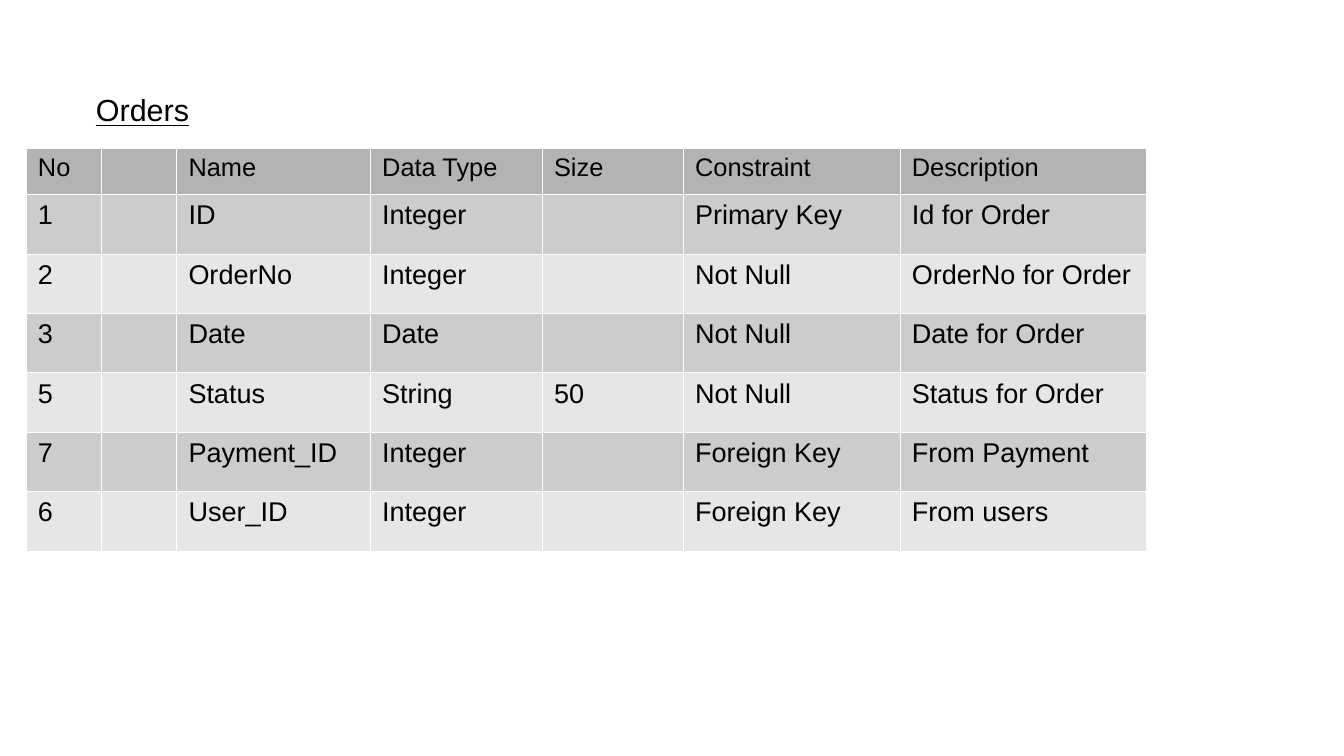
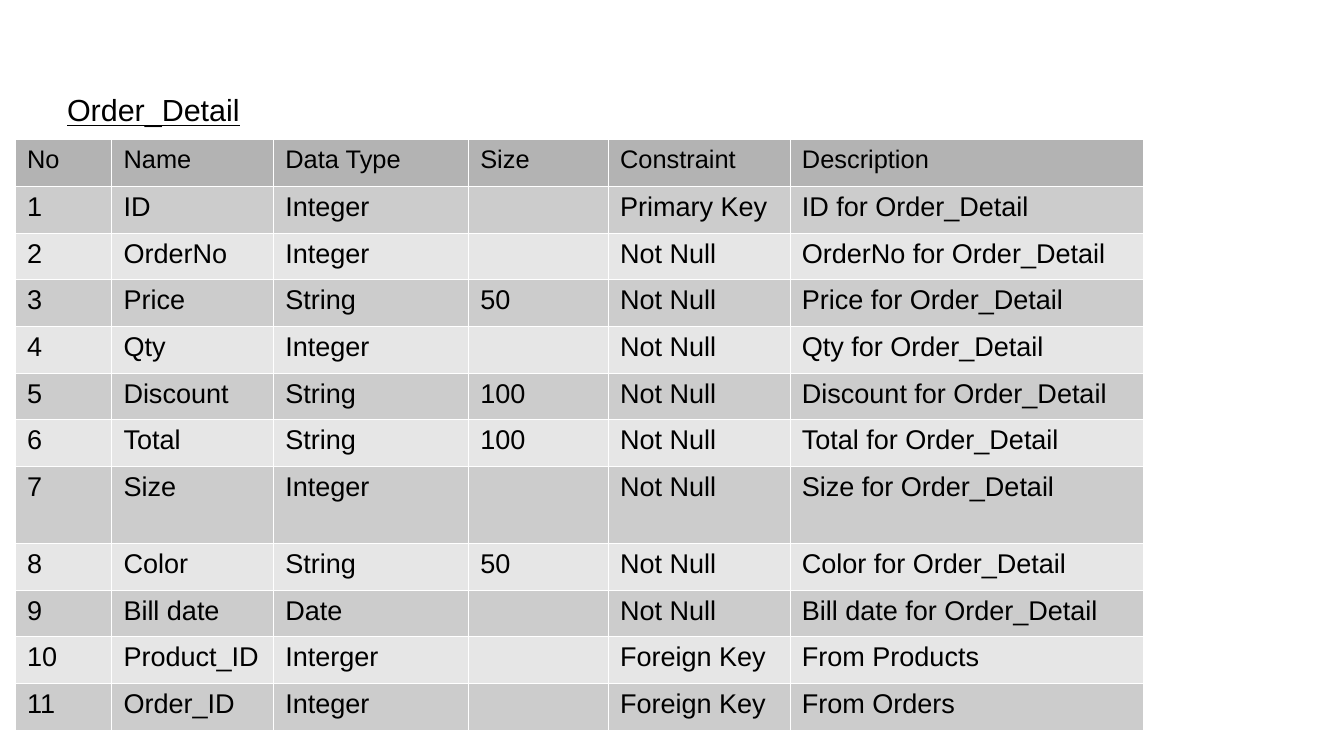
import dataclasses

import lxml.etree
import pptx
import pptx.dml.color
import pptx.enum.text
import pptx.oxml.ns
import pptx.util

Pt = pptx.util.Pt
RGB = pptx.dml.color.RGBColor.from_string


@dataclasses.dataclass(frozen=True)
class Theme:
    """Colours, type sizes and measures (in points) shared by the slides."""
    font: str = "Arial"
    ink: str = "000000"
    border: str = "FFFFFF"
    header: str = "B3B3B3"
    bands: tuple = ("CCCCCC", "E6E6E6")
    title_size: float = 18
    header_size: float = 15
    body_size: float = 16
    border_width: float = 0.06
    header_height: float = 27.6
    title_top: float = 27.4
    title_height: float = 74.9


THEME = Theme()
SLIDE_SIZE = (793.7, 446.5)

# Table contents
ORDERS = [
    ("No", "", "Name", "Data Type", "Size", "Constraint", "Description"),
    ("1", "", "ID", "Integer", "", "Primary Key", "Id for Order"),
    ("2", "", "OrderNo", "Integer", "", "Not Null", "OrderNo for Order"),
    ("3", "", "Date", "Date", "", "Not Null", "Date for Order"),
    ("5", "", "Status", "String", "50", "Not Null", "Status for Order"),
    ("7", "", "Payment_ID", "Integer", "", "Foreign Key", "From Payment"),
    ("6", "", "User_ID", "Integer", "", "Foreign Key", "From users"),
]
ORDER_DETAIL = [
    ("No", "Name", "Data Type", "Size", "Constraint", "Description"),
    ("1", "ID", "Integer", "", "Primary Key", "ID for Order_Detail"),
    ("2", "OrderNo", "Integer", "", "Not Null", "OrderNo for Order_Detail"),
    ("3", "Price", "String", "50", "Not Null", "Price for Order_Detail"),
    ("4", "Qty", "Integer", "", "Not Null", "Qty for Order_Detail"),
    ("5", "Discount", "String", "100", "Not Null", "Discount for Order_Detail"),
    ("6", "Total", "String", "100", "Not Null", "Total for Order_Detail"),
    ("7", "Size", "Integer", "", "Not Null", "Size for Order_Detail"),
    ("8", "Color", "String", "50", "Not Null", "Color for Order_Detail"),
    ("9", "Bill date", "Date", "", "Not Null", "Bill date for Order_Detail"),
    ("10", "Product_ID", "Interger", "", "Foreign Key", "From Products"),
    ("11", "Order_ID", "Integer", "", "Foreign Key", "From Orders"),
]


def set_attributes(obj, values):
    for name, value in values.items():
        setattr(obj, name, value)


def write_text(p, text, size, underline=False):
    """Put one formatted run in a paragraph, or only size an empty one."""
    if not text:
        p._p.get_or_add_endParaRPr().set("sz", str(int(size * 100)))
        return
    r = p.add_run()
    r.text = text
    set_attributes(r.font, {"name": THEME.font, "size": Pt(size),
                            "bold": False, "underline": underline})
    r.font.color.rgb = RGB(THEME.ink)


def add_title(s, text, left, width):
    sp = s.shapes.add_textbox(Pt(left), Pt(THEME.title_top),
                              Pt(width), Pt(THEME.title_height))
    tf = sp.text_frame
    set_attributes(tf, {
        "word_wrap": True,
        "vertical_anchor": pptx.enum.text.MSO_ANCHOR.MIDDLE,
        "margin_left": 0, "margin_right": 0,
        "margin_top": 0, "margin_bottom": 0,
    })
    write_text(tf.paragraphs[0], text, THEME.title_size, underline=True)


def add_borders(cell):
    qn = pptx.oxml.ns.qn
    tc_pr = cell._tc.get_or_add_tcPr()
    for side in ("lnL", "lnR", "lnT", "lnB"):
        ln = lxml.etree.SubElement(tc_pr, qn(f"a:{side}"),
                                   w=str(Pt(THEME.border_width)))
        fill = lxml.etree.SubElement(ln, qn("a:solidFill"))
        lxml.etree.SubElement(fill, qn("a:srgbClr"), val=THEME.border)


def format_cell(cell, text, fill, size):
    add_borders(cell)
    cell.fill.solid()
    cell.fill.fore_color.rgb = RGB(fill)
    write_text(cell.text_frame.paragraphs[0], text, size)


def add_field_table(s, rows, left, top, widths, heights):
    """Draw a header row followed by rows in alternating greys."""
    table = s.shapes.add_table(len(rows), len(widths), Pt(left), Pt(top),
                               Pt(sum(widths)), Pt(sum(heights))).table
    set_attributes(table, {"first_row": False, "horz_banding": False})
    for column, width in zip(table.columns, widths):
        column.width = Pt(width)
    for i, (values, height) in enumerate(zip(rows, heights)):
        table.rows[i].height = Pt(height)
        fill = THEME.bands[(i - 1) % 2] if i else THEME.header
        size = THEME.body_size if i else THEME.header_size
        for j, text in enumerate(values):
            format_cell(table.cell(i, j), text, fill, size)


def main():
    prs = pptx.Presentation()
    set_attributes(prs, {"slide_width": Pt(SLIDE_SIZE[0]),
                         "slide_height": Pt(SLIDE_SIZE[1])})
    blank = prs.slide_layouts[6]

    # Orders
    s = prs.slides.add_slide(blank)
    add_title(s, "Orders", left=56.7, width=158.4)
    add_field_table(s, ORDERS, left=15.2, top=87.2,
                    widths=(44.5, 44.5, 114.4, 101.5, 83.3, 128, 145.5),
                    heights=[THEME.header_height] + [35.1] * 6)

    # Order detail, with a taller row for Size
    s = prs.slides.add_slide(blank)
    add_title(s, "Order_Detail", left=39.6, width=108)
    heights = [THEME.header_height] * len(ORDER_DETAIL)
    heights[7] = 45.4
    add_field_table(s, ORDER_DETAIL, left=8.8, top=82.3,
                    widths=(57, 95.6, 115.1, 82.6, 107.4, 208.8),
                    heights=heights)

    prs.save("out.pptx")


if __name__ == "__main__":
    main()
